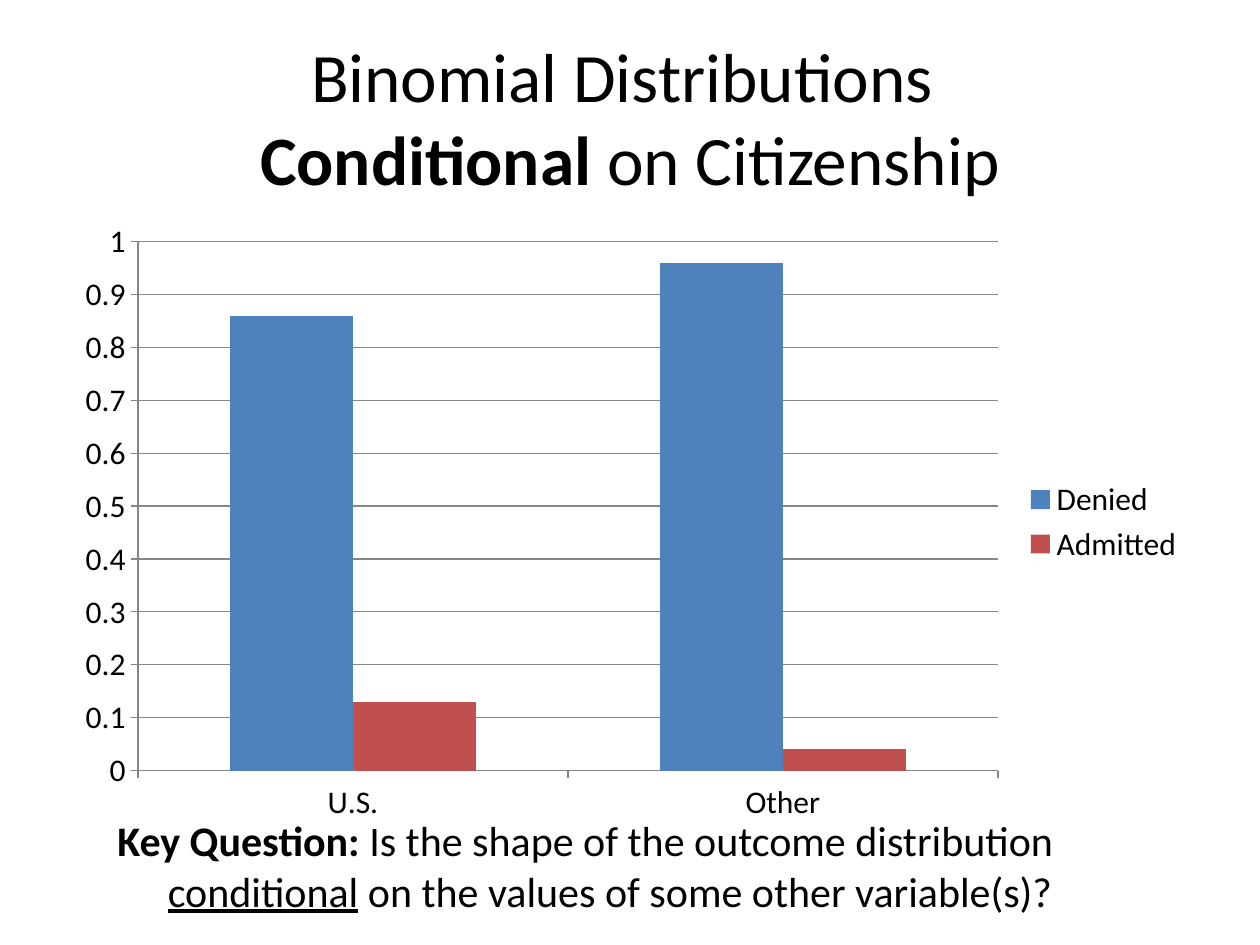
import pptx
import pptx.chart.data
import pptx.dml.color
import pptx.enum.chart
import pptx.enum.text
import pptx.util

Pt = pptx.util.Pt
FONT = "Calibri"
BLACK = "000000"
GRAY = "868686"


def color(hex_string):
    return pptx.dml.color.RGBColor.from_string(hex_string)


def format_font(font, size):
    font.name = FONT
    font.size = Pt(size)
    font.color.rgb = color(BLACK)


def add_run(paragraph, text, size, bold=False, underline=False):
    run = paragraph.add_run()
    run.text = text
    format_font(run.font, size)
    run.font.bold = bold
    run.font.underline = underline


def place_title(slide, left, top, width, height):
    title = slide.shapes.title
    title.left, title.top = Pt(left), Pt(top)
    title.width, title.height = Pt(width), Pt(height)
    text_frame = title.text_frame
    text_frame.word_wrap = True
    text_frame.auto_size = pptx.enum.text.MSO_AUTO_SIZE.NONE
    text_frame.vertical_anchor = pptx.enum.text.MSO_ANCHOR.MIDDLE
    paragraph = text_frame.paragraphs[0]
    paragraph.alignment = pptx.enum.text.PP_ALIGN.CENTER
    add_run(paragraph, "Binomial Distributions ", 39.6)
    paragraph.add_line_break()
    add_run(paragraph, "Conditional", 39.6, bold=True)
    add_run(paragraph, " on Citizenship", 39.6)


def add_outcome_chart(slide, left, top, width, height):
    outcomes = [
        ("Denied", (0.86, 0.96), "4F81BD"),
        ("Admitted", (0.13, 0.04), "C0504D"),
    ]
    data = pptx.chart.data.CategoryChartData()
    data.categories = ["U.S.", "Other"]
    for name, values, _ in outcomes:
        data.add_series(name, values)
    chart = slide.shapes.add_chart(
        pptx.enum.chart.XL_CHART_TYPE.COLUMN_CLUSTERED,
        Pt(left), Pt(top), Pt(width), Pt(height), data,
    ).chart
    chart.has_title = False
    format_font(chart.font, 18)

    # Columns
    plot = chart.plots[0]
    plot.gap_width = 150
    plot.overlap = 0
    plot.vary_by_categories = False
    for series, (_, _, fill) in zip(plot.series, outcomes):
        series.format.fill.solid()
        series.format.fill.fore_color.rgb = color(fill)

    # Axes and gridlines
    value_axis = chart.value_axis
    value_axis.minimum_scale = 0
    value_axis.maximum_scale = 1
    value_axis.major_unit = 0.1
    value_axis.has_major_gridlines = True
    value_axis.tick_labels.number_format = "General"
    value_axis.tick_labels.number_format_is_linked = False
    for axis in (chart.category_axis, value_axis):
        axis.major_tick_mark = pptx.enum.chart.XL_TICK_MARK.OUTSIDE
    for part in (chart.category_axis, value_axis, value_axis.major_gridlines):
        part.format.line.color.rgb = color(GRAY)
        part.format.line.width = Pt(0.75)

    # Legend
    chart.has_legend = True
    chart.legend.position = pptx.enum.chart.XL_LEGEND_POSITION.RIGHT
    chart.legend.include_in_layout = False


def add_key_question(slide, left, top, width, height):
    text_box = slide.shapes.add_textbox(Pt(left), Pt(top), Pt(width), Pt(height))
    text_box.text_frame.word_wrap = True
    paragraph = text_box.text_frame.paragraphs[0]
    # Hanging indent
    properties = paragraph._p.get_or_add_pPr()
    properties.set("marL", str(Pt(28.8)))
    properties.set("indent", str(-Pt(28.8)))
    add_run(paragraph, "Key Question: ", 24, bold=True)
    add_run(paragraph, "Is the shape of the outcome distribution ", 24)
    add_run(paragraph, "conditional", 24, underline=True)
    add_run(paragraph, " on the values of some other variable(s)?", 24)


def main():
    presentation = pptx.Presentation()
    presentation.slide_width, presentation.slide_height = Pt(720), Pt(540)
    slide = presentation.slides.add_slide(presentation.slide_layouts[5])
    place_title(slide, 36, 21.6, 648, 90)
    add_outcome_chart(slide, 36, 120, 648, 356.4)
    add_key_question(slide, 60, 462, 582, 65.5)
    presentation.save("out.pptx")


if __name__ == "__main__":
    main()
